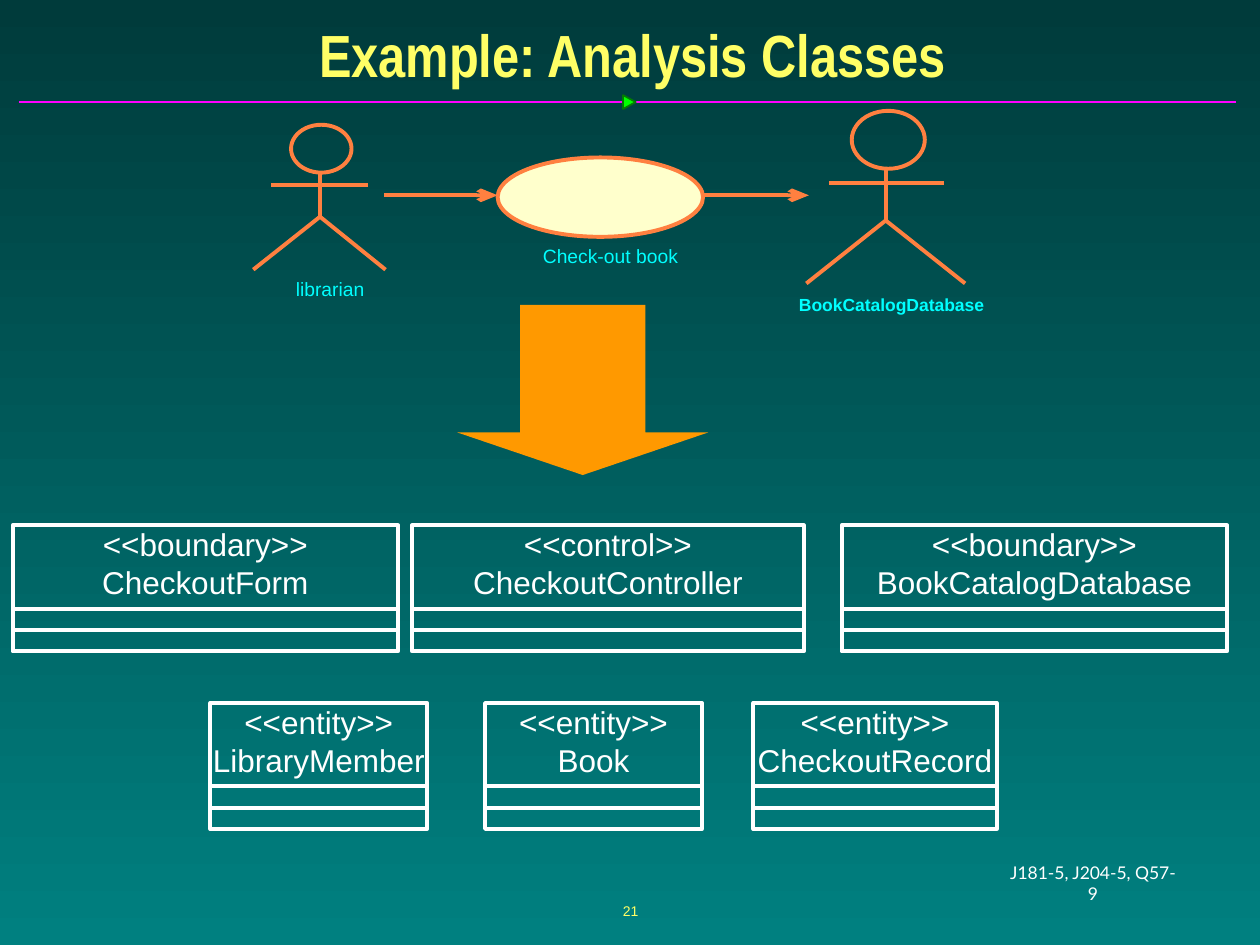
from lxml import etree
from pptx import Presentation
from pptx.dml.color import RGBColor
from pptx.enum.shapes import MSO_CONNECTOR, MSO_SHAPE
from pptx.enum.text import MSO_ANCHOR, PP_ALIGN
from pptx.oxml.ns import qn
from pptx.util import Inches, Pt

STRAIGHT = MSO_CONNECTOR.STRAIGHT
RECTANGLE, ELLIPSE = MSO_SHAPE.RECTANGLE, MSO_SHAPE.OVAL
TRIANGLE, DOWN_ARROW = MSO_SHAPE.ISOSCELES_TRIANGLE, MSO_SHAPE.DOWN_ARROW
CENTER = PP_ALIGN.CENTER
TOP, MIDDLE = MSO_ANCHOR.TOP, MSO_ANCHOR.MIDDLE

COLORS = {
    "top": "003B3B", "bottom": "008080", "yellow": "FFFF66", "rule": "FF01FF",
    "marker": "00FF00", "marker_edge": "037C03", "white": "FFFFFF",
    "orange": "FF8040", "cream": "FFFFCC", "cyan": "00FFFF", "arrow": "FF9900",
}

TITLE = "Example: Analysis Classes"
CLASS_ROWS = [
    (4.17, [
        (0.1, 3.06, ["<<boundary>>", "CheckoutForm"]),
        (3.27, 3.11, ["<<control>>", "CheckoutController"]),
        (6.68, 3.06, ["<<boundary>>", "BookCatalogDatabase"]),
    ]),
    (5.58, [
        (1.67, 1.72, ["<<entity>>", "LibraryMember"]),
        (3.85, 1.72, ["<<entity>>", "Book"]),
        (5.98, 1.93, ["<<entity>>", "CheckoutRecord"]),
    ]),
]
CLASS_HEIGHT = 1
DIVIDERS = (0.66, 0.83)
ACTORS = [
    {"head": (2.31, 0.99, 0.48, 0.38), "spine": 2.54, "hip": 1.72, "foot": 2.14,
     "arm": 1.47, "arms": (2.15, 2.92), "legs": (2.01, 3.06)},
    {"head": (6.76, 0.88, 0.58, 0.46), "spine": 7.03, "hip": 1.75, "foot": 2.25,
     "arm": 1.45, "arms": (6.58, 7.49), "legs": (6.4, 7.66)},
]
USE_CASE = (3.95, 1.25, 1.63, 0.63)
FLOWS = [(3.05, 3.95), (5.57, 6.42)]
FLOW_Y = 1.55
CAPTIONS = [
    ("librarian", (2.27, 2.2, 0.7, 0.18), 11, False),
    ("Check-out book", (4.2, 1.94, 1.29, 0.18), 11, False),
    ("BookCatalogDatabase", (6.23, 2.33, 1.69, 0.17), 10, True),
]


def color(name):
    return RGBColor.from_string(COLORS[name])


def style_line(shape, name, width):
    shape.line.color.rgb = color(name)
    shape.line.width = Pt(width)


def add_line(shapes, x1, y1, x2, y2, name="orange", width=2.25, arrow=False):
    line = shapes.add_connector(STRAIGHT, *map(Inches, (x1, y1, x2, y2)))
    style_line(line, name, width)
    properties = line._element.spPr
    if arrow:
        etree.SubElement(properties.find(qn("a:ln")), qn("a:tailEnd"),
                         type="arrow", w="med", len="lg")
    etree.SubElement(properties, qn("a:effectLst"))


def finish_shape(shape, fill=None, line=None, width=2.25):
    shape.shadow.inherit = False
    if fill:
        shape.fill.solid()
        shape.fill.fore_color.rgb = color(fill)
    else:
        shape.fill.background()
    if line:
        style_line(shape, line, width)
    else:
        shape.line.fill.background()
    return shape


def add_shape(shapes, kind, box, **style):
    return finish_shape(shapes.add_shape(kind, *map(Inches, box)), **style)


def write(shape, lines, size, name, font="Arial", bold=False, anchor=TOP,
          inset=(0, 0), wrap=False):
    frame = shape.text_frame
    frame.word_wrap = wrap
    frame.vertical_anchor = anchor
    frame.margin_left = frame.margin_right = Inches(inset[0])
    frame.margin_top = frame.margin_bottom = Inches(inset[1])
    frame.text = "\n".join(lines)
    for paragraph in frame.paragraphs:
        paragraph.alignment = CENTER
        paragraph.font.size = Pt(size)
        paragraph.font.name = font
        paragraph.font.bold = bold
        paragraph.font.color.rgb = color(name)


def add_text(shapes, box, lines, size, name, **style):
    write(shapes.add_textbox(*map(Inches, box)), lines, size, name, **style)


def add_class(slide, left, top, width, lines):
    shapes = slide.shapes.add_group_shape().shapes
    add_shape(shapes, RECTANGLE, (left, top, width, CLASS_HEIGHT), line="white")
    for offset in DIVIDERS:
        add_line(shapes, left, top + offset, left + width, top + offset, "white")
    add_text(shapes, (left, top, width, 0.6), lines, 18, "white")


def add_actor(slide, actor):
    shapes = slide.shapes.add_group_shape().shapes
    head, spine, hip, foot = (actor[key] for key in ("head", "spine", "hip", "foot"))
    add_shape(shapes, ELLIPSE, head, line="orange")
    add_line(shapes, spine, head[1] + head[3], spine, hip)
    add_line(shapes, actor["arms"][0], actor["arm"], actor["arms"][1], actor["arm"])
    left_foot, right_foot = actor["legs"]
    legs = shapes.build_freeform(Inches(left_foot), Inches(foot))
    legs.add_line_segments(
        [(Inches(spine), Inches(hip)), (Inches(right_foot), Inches(foot))], close=False)
    finish_shape(legs.convert_to_shape(), line="orange")


def main():
    presentation = Presentation()
    presentation.slide_width, presentation.slide_height = Inches(10), Inches(7.5)
    slide = presentation.slides.add_slide(presentation.slide_layouts[5])
    shapes = slide.shapes

    background = slide.background.fill
    background.gradient()
    background.gradient_angle = 270
    for stop, name in zip(background.gradient_stops, ("top", "bottom")):
        stop.color.rgb = color(name)

    title = shapes.title
    title.left, title.top, title.width, title.height = map(Inches, (0.1, 0.14, 9.84, 0.58))
    write(title, [TITLE], 34, "yellow", font="Arial Narrow", bold=True,
          anchor=MIDDLE, inset=(0.1, 0.05), wrap=True)

    add_line(shapes, 0.15, 0.81, 9.81, 0.81, "rule", 1)
    marker = add_shape(shapes, TRIANGLE, (4.94, 0.76, 0.11, 0.1),
                       fill="marker", line="marker_edge", width=1)
    marker.rotation = 90

    for top, classes in CLASS_ROWS:
        for left, width, lines in classes:
            add_class(slide, left, top, width, lines)

    for actor in ACTORS:
        add_actor(slide, actor)
    add_shape(shapes, ELLIPSE, USE_CASE, fill="cream", line="orange")
    for start, end in FLOWS:
        add_line(shapes, start, FLOW_Y, end, FLOW_Y, arrow=True)
    for text, box, size, bold in CAPTIONS:
        add_text(shapes, box, [text], size, "cyan", bold=bold)

    down_arrow = add_shape(shapes, DOWN_ARROW, (3.63, 2.42, 1.99, 1.35), fill="arrow")
    down_arrow.adjustments[0] = 0.5
    down_arrow.adjustments[1] = 0.25

    add_text(shapes, (7.91, 6.87, 1.53, 0.27), ["J181-5, J204-5, Q57-9"], 10, "white",
             font="Lato", anchor=MIDDLE, inset=(0.1, 0.05), wrap=True)
    add_text(shapes, (3.42, 6.98, 3.17, 0.5), ["21"], 8, "yellow",
             anchor=MIDDLE, inset=(0.1, 0.05))

    presentation.save("out.pptx")


if __name__ == "__main__":
    main()
